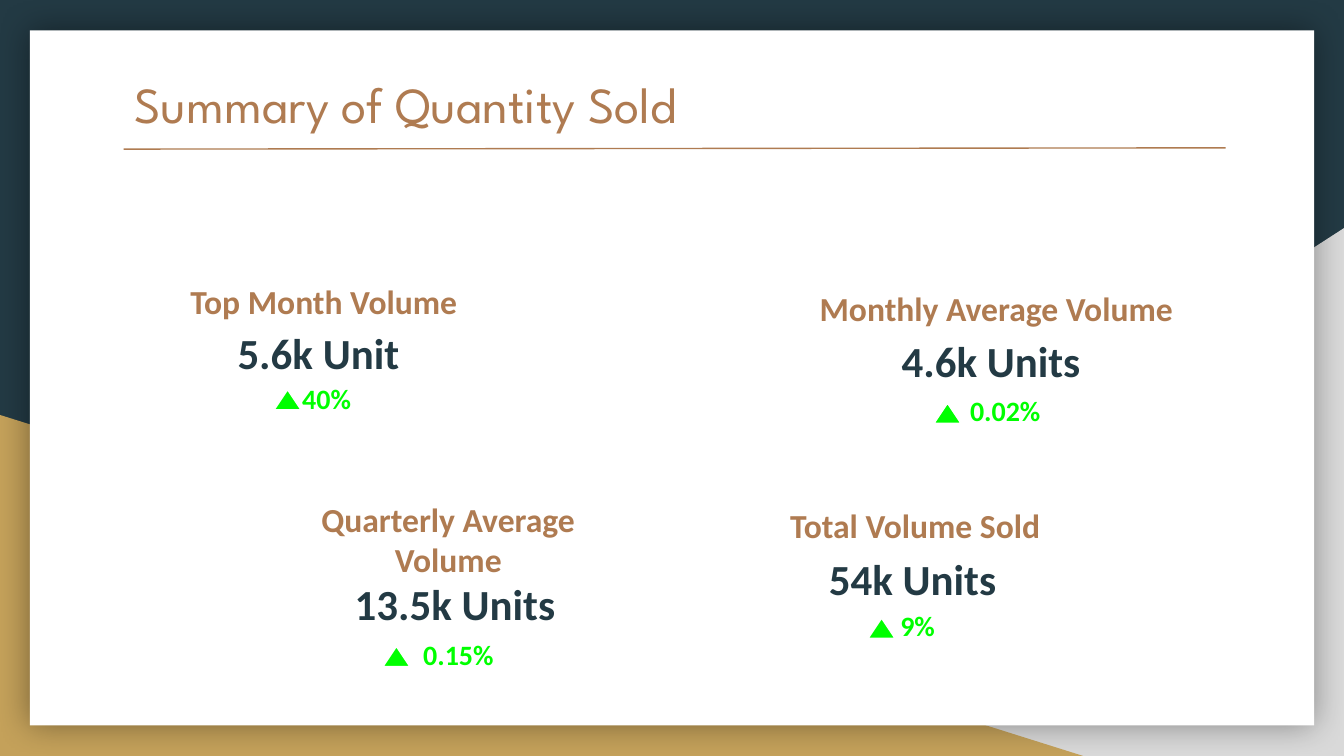
from lxml import etree
from pptx import Presentation
from pptx.dml.color import RGBColor
from pptx.enum import shapes, text
from pptx.oxml import ns
from pptx.util import Pt

theme = {
    "navy": "233A44", "brown": "AF7B51", "gold": "C4A15A", "grey": "D9D9D9",
    "white": "FFFFFF", "green": "00FF00", "black": "000000",
    "head": "League Spartan", "body": "Calibri",
    "title": 27, "label": 18, "value": 23, "change": 15,
}


def color(name):
    return RGBColor.from_string(theme[name])


def write(shape, words, font="body", size="label", ink="brown", bold=True, align=text.PP_ALIGN.LEFT):
    frame = shape.text_frame
    frame.word_wrap = True
    frame.auto_size = text.MSO_AUTO_SIZE.NONE
    frame.vertical_anchor = text.MSO_ANCHOR.TOP
    frame.margin_left = frame.margin_right = Pt(7.2)
    frame.margin_top = frame.margin_bottom = Pt(7.2)
    frame.text = words
    for para in frame.paragraphs:
        para.alignment = align
        for run in para.runs:
            run.font.name = theme[font]
            run.font.size = Pt(theme[size])
            run.font.bold = bold
            run.font.color.rgb = color(ink)


deck = Presentation()
deck.slide_width, deck.slide_height = Pt(720), Pt(405)
slide = deck.slides.add_slide(deck.slide_layouts[5])
slide.background.fill.solid()
slide.background.fill.fore_color.rgb = color("navy")
items = slide.shapes
kind = shapes.MSO_SHAPE

back = []
for form, box, ink in [
    (kind.RIGHT_TRIANGLE, (282.2, 122.2, 437.8, 282.8), "grey"),
    (kind.RIGHT_TRIANGLE, (0, 222.3, 580.3, 182.7), "gold"),
    (kind.RECTANGLE, (16, 16.3, 688, 372.4), "white"),
]:
    shape = items.add_shape(form, *map(Pt, box))
    shape.shadow.inherit = False
    shape.fill.solid()
    shape.fill.fore_color.rgb = color(ink)
    shape.line.fill.background()
    back.append(shape)

corner, gold, panel = back
corner._element.spPr.xfrm.set("flipH", "1")
effect = panel._element.spPr.find(ns.qn("a:effectLst"))
glow = etree.SubElement(effect, ns.qn("a:outerShdw"), blurRad=str(Pt(18)), dist="0", dir="0", algn="ctr", rotWithShape="0")
tint = etree.SubElement(glow, ns.qn("a:srgbClr"), val=theme["black"])
etree.SubElement(tint, ns.qn("a:alpha"), val="40000")

title = items.title
title.left, title.top, title.width, title.height = map(Pt, (64.8, 31.7, 591.1, 41.8))
write(title, "Summary of Quantity Sold", font="head", size="title", bold=False)
panel._element.addnext(title._element)

left, center = text.PP_ALIGN.LEFT, text.PP_ALIGN.CENTER
cards = [
    ("Top Month Volume", (95, 143.3, 168.5), left,
     "5.6k Unit", (120.2, 167.8, 110.9, 37.4), "40%", (154.8, 197.3, 49.7), (146.9, 208.8)),
    ("Monthly Average Volume", (432, 146.9, 229.7), left,
     "4.6k Units", (475.9, 172.1, 110.9, 49.7), "0.02%", (512.6, 203.8, 70.6), (500.4, 216)),
    ("Quarterly Average\nVolume", (125.3, 259.9, 229.7), center,
     "13.5k Units", (182.9, 302.4, 128.9, 49.7), "0.15%", (219.6, 334.1, 70.6), (205.2, 346.3)),
    ("Total Volume Sold", (416.2, 263.5, 149), left,
     "54k Units", (437, 288.7, 115.2, 37.4), "9%", (475.2, 319, 49.7), (465.1, 331.2)),
]
for label, top, align, value, mid, change, low, mark in cards:
    write(items.add_textbox(*map(Pt, (*top, 37.4))), label, align=align)
    write(items.add_textbox(*map(Pt, mid)), value, size="value", ink="navy")
    write(items.add_textbox(*map(Pt, (*low, 29.5))), change, size="change", ink="green")
    arrow = items.add_shape(kind.ISOSCELES_TRIANGLE, *map(Pt, (*mark, 14.4, 10.8)))
    arrow.shadow.inherit = False
    arrow.fill.solid()
    arrow.fill.fore_color.rgb = color("green")
    arrow.line.color.rgb = color("white")
    arrow.line.width = Pt(0.75)

rule = items.add_connector(shapes.MSO_CONNECTOR.STRAIGHT, *map(Pt, (66.2, 79.9, 656.6, 79.2)))
rule.line.color.rgb = color("brown")
rule.line.width = Pt(0.75)
etree.SubElement(rule._element.spPr, ns.qn("a:effectLst"))

deck.save("out.pptx")
